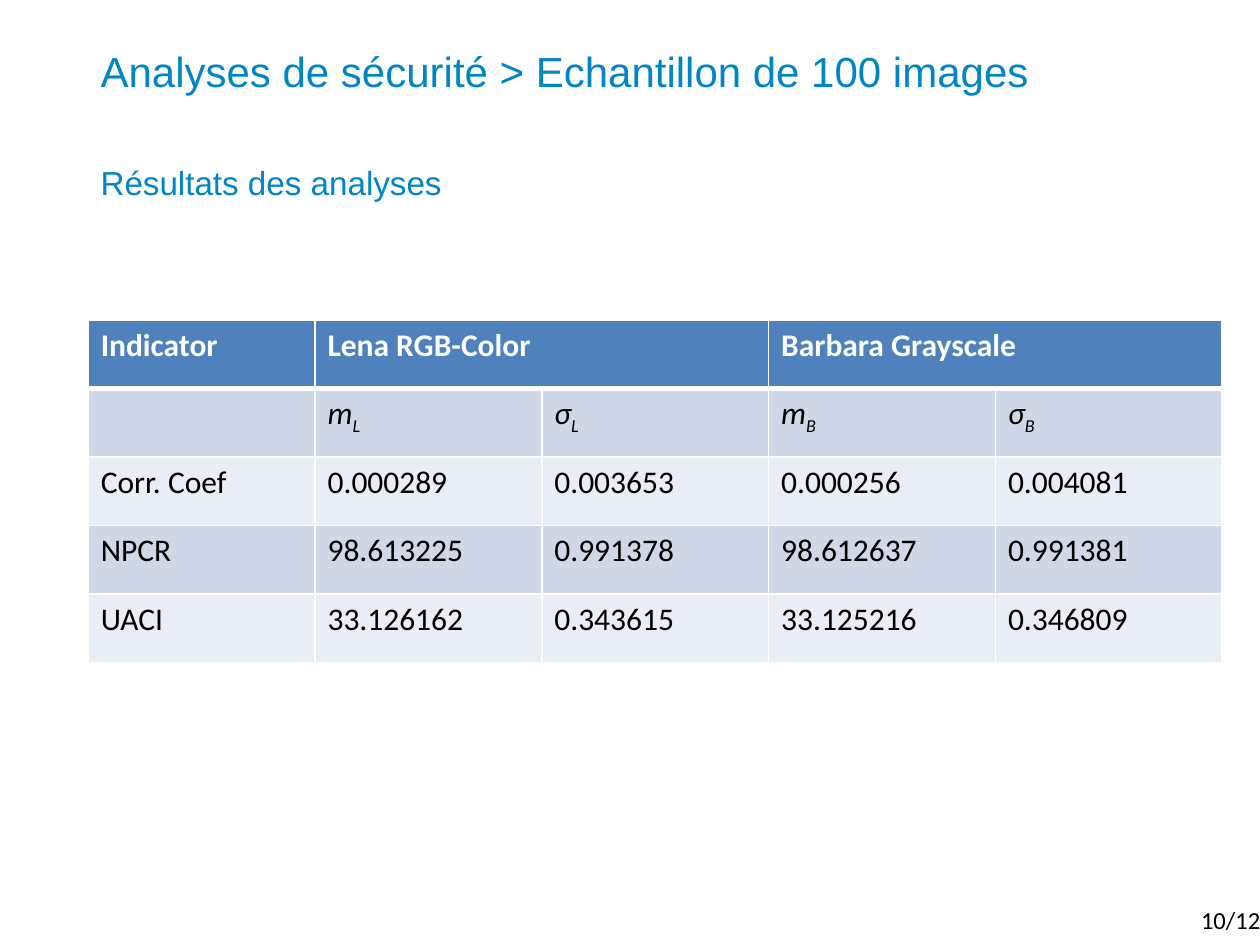
from dataclasses import dataclass

from lxml.etree import SubElement
from pptx import Presentation
from pptx.dml.color import RGBColor
from pptx.enum.text import MSO_ANCHOR
from pptx.oxml.ns import qn
from pptx.util import Inches, Pt


@dataclass(frozen=True)
class Theme:
    heading_font: str = "Arial"
    table_font: str = "Calibri"
    heading: str = "0086C7"
    ink: str = "000000"
    white: str = "FFFFFF"
    header_fill: str = "4F81BD"
    bands: tuple = ("D0D8E8", "E9EDF4")
    title_size: int = 24
    subtitle_size: int = 19
    table_size: int = 18
    page_size: int = 14


THEME = Theme()
HEADERS = {0: "Indicator", 1: "Lena RGB-Color", 3: "Barbara Grayscale"}
SYMBOLS = [("m", "L"), ("σ", "L"), ("m", "B"), ("σ", "B")]
RESULTS = [
    ("Corr. Coef", "0.000289", "0.003653", "0.000256", "0.004081"),
    ("NPCR", "98.613225", "0.991378", "98.612637", "0.991381"),
    ("UACI", "33.126162", "0.343615", "33.125216", "0.346809"),
]


def add_run(paragraph, text, *, size=THEME.table_size, font=THEME.table_font,
            color=THEME.ink, bold=False, italic=False, baseline=0):
    run = paragraph.add_run()
    run.text = text
    run.font.size = Pt(size)
    run.font.name = font
    run.font.color.rgb = RGBColor.from_string(color)
    run.font.bold = bold
    run.font.italic = italic
    if baseline:
        run.font._element.set("baseline", str(baseline * 1000))


def add_text(slide, box, text, **style):
    frame = slide.shapes.add_textbox(*map(Inches, box)).text_frame
    frame.word_wrap = True
    frame.vertical_anchor = MSO_ANCHOR.TOP
    add_run(frame.paragraphs[0], text, **style)


def style_cell(cell, fill, bottom_width=1):
    cell.fill.solid()
    cell.fill.fore_color.rgb = RGBColor.from_string(fill)
    properties = cell._tc.get_or_add_tcPr()
    widths = {"lnL": 1, "lnR": 1, "lnT": 1, "lnB": bottom_width}
    for position, (side, width) in enumerate(widths.items()):
        border = SubElement(properties, qn(f"a:{side}"), w=str(Pt(width)))
        solid = SubElement(border, qn("a:solidFill"))
        SubElement(solid, qn("a:srgbClr"), val=THEME.white)
        properties.insert(position, border)


def add_headings(slide, box):
    left, top, width, height = box
    add_text(slide, (left, top, width, height),
             "Analyses de sécurité > Echantillon de 100 images",
             size=THEME.title_size, font=THEME.heading_font, color=THEME.heading)
    add_text(slide, (left, top + 0.93, width, 0.53), "Résultats des analyses",
             size=THEME.subtitle_size, font=THEME.heading_font, color=THEME.heading)


def add_results(slide, box):
    row_count, column_count = len(RESULTS) + 2, len(RESULTS[0])
    table = slide.shapes.add_table(row_count, column_count, *map(Inches, box)).table

    for row in range(row_count):
        for column in range(column_count):
            if row == 0:
                style_cell(table.cell(row, column), THEME.header_fill, bottom_width=3)
            else:
                style_cell(table.cell(row, column), THEME.bands[(row - 1) % 2])

    for column, header in HEADERS.items():
        cell = table.cell(0, column)
        if column:
            cell.merge(table.cell(0, column + 1))
        add_run(cell.text_frame.paragraphs[0], header, color=THEME.white, bold=True)

    for column, (symbol, index) in enumerate(SYMBOLS, start=1):
        paragraph = table.cell(1, column).text_frame.paragraphs[0]
        add_run(paragraph, symbol, italic=True)
        add_run(paragraph, index, italic=True, baseline=-25)

    for row, values in enumerate(RESULTS, start=2):
        for column, value in enumerate(values):
            add_run(table.cell(row, column).text_frame.paragraphs[0], value)


def add_page_number(slide, box):
    add_text(slide, box, " 10/12", size=THEME.page_size)


def main():
    presentation = Presentation()
    presentation.slide_width = Inches(10)
    presentation.slide_height = Inches(7.5)
    slide = presentation.slides.add_slide(presentation.slide_layouts[6])
    add_headings(slide, (0.7, 0.31, 9, 1.25))
    add_results(slide, (0.7, 2.54, 9, 2.72))
    add_page_number(slide, (9.39, 7.13, 0.74, 0.34))
    presentation.save("out.pptx")


if __name__ == "__main__":
    main()
